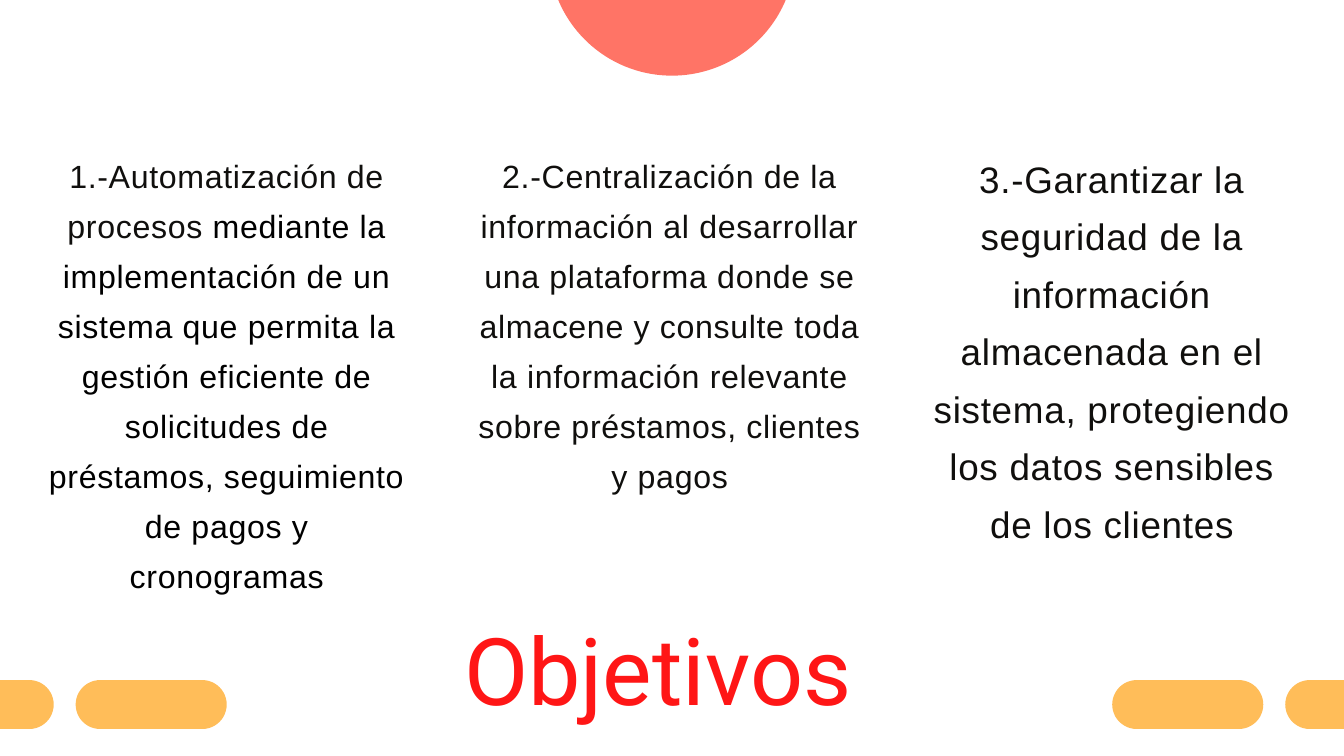
import pptx
import pptx.dml.color
import pptx.enum.shapes
import pptx.enum.text
import pptx.util
from pptx.util import Cm

RED = pptx.dml.color.RGBColor(0xFF, 0x16, 0x16)
CORAL = pptx.dml.color.RGBColor(0xFF, 0x74, 0x66)
AMBER = pptx.dml.color.RGBColor(0xFF, 0xBD, 0x59)
INK = pptx.dml.color.RGBColor(0x10, 0x0F, 0x0D)
BLACK = pptx.dml.color.RGBColor(0, 0, 0)

OBJECTIVES = [
    ((1.78, 5.46, 13.59, 16.81), 34.4, 53.7, 70, [
        ("1.-Automatización de procesos", INK),
        (" mediante la implementación de un sistema que permita la gestión "
         "eficiente de solicitudes de préstamos, seguimiento de pagos y "
         "cronogramas", BLACK)]),
    ((17.68, 5.46, 15.27, 14.94), 34.4, 53.7, 70, [
        ("2.-Centralización de la información al desarrollar una plataforma "
         "donde se almacene y consulte toda la información relevante sobre "
         "préstamos, clientes y pagos", INK)]),
    ((35.1, 5.41, 13.87, 14.99), 39.5, 61.6, 80, [
        ("3.-Garantizar la seguridad de la información almacenada en el "
         "sistema, protegiendo los datos sensibles de los clientes", INK)]),
]


def add_plain_shape(slide, preset, box, color):
    """Add a flat filled preset shape without outline or shadow."""
    shape = slide.shapes.add_shape(preset, *map(Cm, box))
    shape.shadow.inherit = False
    shape.fill.solid()
    shape.fill.fore_color.rgb = color
    shape.line.fill.background()
    return shape


def add_pill_pair(slide, box):
    """Place two equal pills at the two ends of the box."""
    left, top, width, height = box
    pill_width = 5.71
    for pill_left in (left, left + width - pill_width):
        pill = add_plain_shape(
            slide, pptx.enum.shapes.MSO_SHAPE.ROUNDED_RECTANGLE,
            (pill_left, top, pill_width, height), AMBER)
        pill.adjustments[0] = 0.5


def fill_text(frame, parts, font_name, size, line_height, tracking=0):
    """Write one centred paragraph of coloured parts into a marginless frame."""
    frame.margin_left = frame.margin_right = 0
    frame.margin_top = frame.margin_bottom = 0
    frame.word_wrap = True
    frame.auto_size = pptx.enum.text.MSO_AUTO_SIZE.NONE
    frame.vertical_anchor = pptx.enum.text.MSO_ANCHOR.TOP
    paragraph = frame.paragraphs[0]
    paragraph.alignment = pptx.enum.text.PP_ALIGN.CENTER
    paragraph.line_spacing = pptx.util.Pt(line_height)
    for wording, color in parts:
        run = paragraph.add_run()
        run.text = wording
        run.font.name = font_name
        run.font.size = pptx.util.Pt(size)
        run.font.color.rgb = color
        if tracking:
            run.font._element.set("spc", str(tracking))


def place_title(slide, box):
    """Move the title placeholder to the box and write the heading."""
    title = slide.shapes.title
    title.left, title.top, title.width, title.height = map(Cm, box)
    fill_text(title.text_frame, [("Objetivos ", RED)], "Roboto", 100, 140)


def add_objective(slide, box, size, line_height, tracking, parts):
    """Add one objective column in the box."""
    column = slide.shapes.add_textbox(*map(Cm, box))
    fill_text(column.text_frame, parts, "Arial", size, line_height, tracking)


def main():
    """Build and save the objectives slide."""
    deck = pptx.Presentation()
    deck.slide_width, deck.slide_height = Cm(50.8), Cm(28.58)
    slide = deck.slides.add_slide(deck.slide_layouts.get_by_name("Title Only"))
    for left in (-3.68, 42.04):
        add_pill_pair(slide, (left, 25.71, 12.25, 1.85))
    add_plain_shape(slide, pptx.enum.shapes.MSO_SHAPE.OVAL,
                    (20.74, -6.46, 9.32, 9.32), CORAL)
    place_title(slide, (8.56, 22.43, 33.48, 4.72))
    for objective in OBJECTIVES:
        add_objective(slide, *objective)
    deck.save("out.pptx")


if __name__ == "__main__":
    main()
